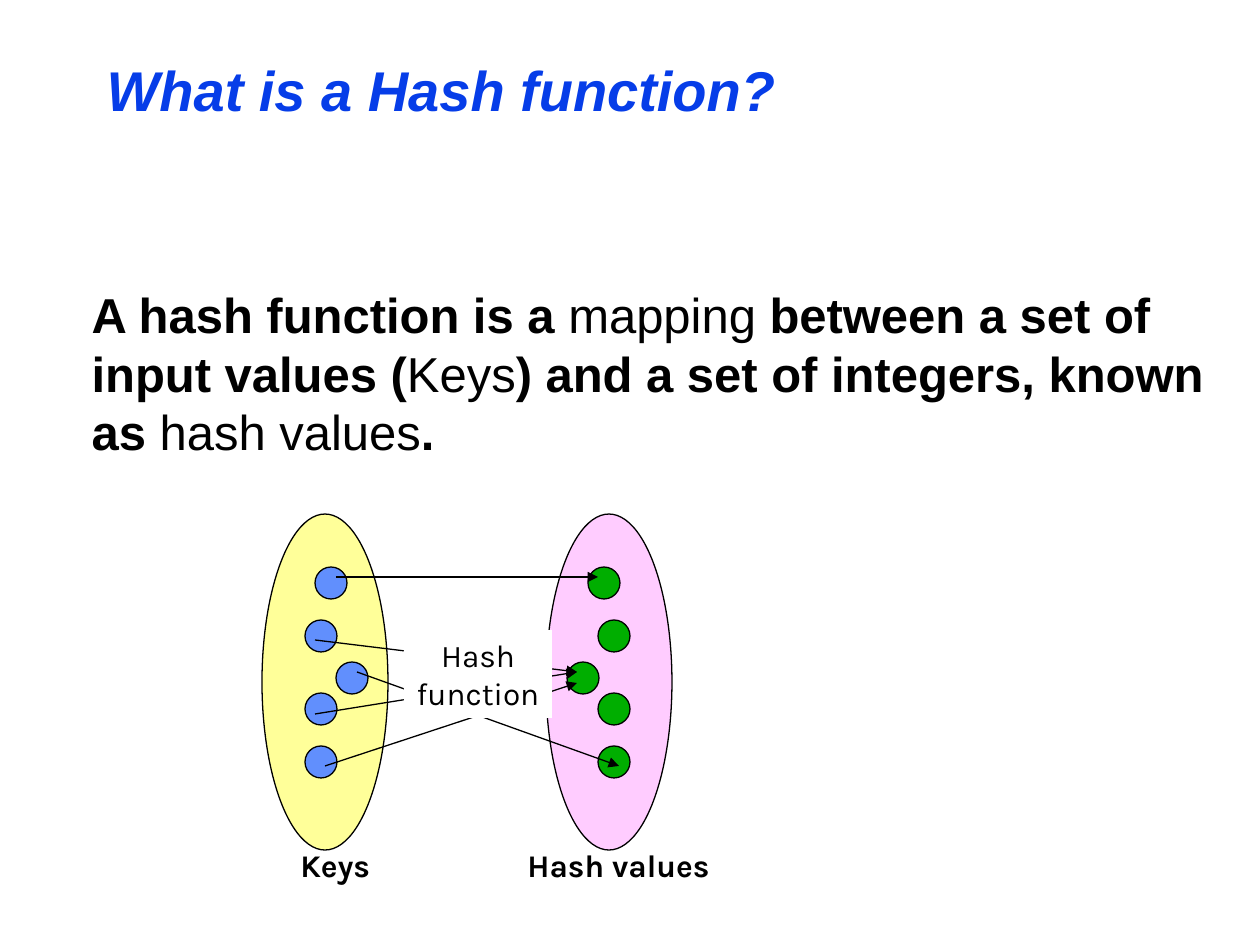
from lxml.etree import SubElement
from pptx import Presentation
from pptx.dml.color import RGBColor
from pptx.enum.shapes import MSO_CONNECTOR, MSO_SHAPE
from pptx.enum.text import MSO_ANCHOR, MSO_AUTO_SIZE, PP_ALIGN
from pptx.oxml.ns import qn
from pptx.util import Pt

EMU_PER_PX = 914400 / 126
BLACK, WHITE = "000000", "FFFFFF"


def px(length):
    return round(length * EMU_PER_PX)


def color(hex_value):
    return RGBColor.from_string(hex_value)


class HashSlide:
    heading_font = "Arial"
    diagram_font = "Karla"
    line_width = Pt(0.75)

    def __init__(self, slide):
        self.slide = slide

    def format_run(self, run, hex_color=BLACK, **formats):
        for name, value in formats.items():
            setattr(run.font, name, value)
        run.font.color.rgb = color(hex_color)

    def place(self, shape, box):
        for name, length in zip(("left", "top", "width", "height"), box):
            setattr(shape, name, px(length))

    def title(self, text, box):
        title = self.slide.shapes.title
        self.place(title, box)
        frame = title.text_frame
        frame.auto_size = MSO_AUTO_SIZE.NONE
        frame.vertical_anchor = MSO_ANCHOR.MIDDLE
        paragraph = frame.paragraphs[0]
        paragraph.alignment = PP_ALIGN.LEFT
        run = paragraph.add_run()
        run.text = text
        self.format_run(run, "063DE8", name=self.heading_font, size=Pt(32),
                        bold=True, italic=True)

    def body(self, pieces, box, indent):
        """Write one unbulleted paragraph from (text, bold) pieces."""
        body = self.slide.placeholders[1]
        self.place(body, box)
        frame = body.text_frame
        frame.auto_size = MSO_AUTO_SIZE.NONE
        paragraph = frame.paragraphs[0]
        properties = paragraph._p.get_or_add_pPr()
        properties.set("marL", str(px(indent)))
        properties.set("indent", "0")
        SubElement(properties, qn("a:buNone"))
        paragraph.space_before = Pt(0)
        for text, bold in pieces:
            run = paragraph.add_run()
            run.text = text
            self.format_run(run, name=self.heading_font, size=Pt(28), bold=bold)

    def ellipse(self, box, fill):
        ellipse = self.slide.shapes.add_shape(MSO_SHAPE.OVAL, *map(px, box))
        ellipse.shadow.inherit = False
        ellipse.fill.solid()
        ellipse.fill.fore_color.rgb = color(fill)
        ellipse.line.color.rgb = color(BLACK)
        ellipse.line.width = self.line_width

    def label(self, lines, box, bold=False, fill=None, align=PP_ALIGN.LEFT):
        label = self.slide.shapes.add_textbox(*map(px, box))
        if fill:
            label.fill.solid()
            label.fill.fore_color.rgb = color(fill)
        frame = label.text_frame
        frame.word_wrap = False
        frame.auto_size = MSO_AUTO_SIZE.SHAPE_TO_FIT_TEXT
        frame.text = "\n".join(lines)
        for paragraph in frame.paragraphs:
            paragraph.alignment = align
            self.format_run(paragraph.runs[0], name=self.diagram_font,
                            size=Pt(18), bold=bold)

    def arrow(self, start, end):
        arrow = self.slide.shapes.add_connector(
            MSO_CONNECTOR.STRAIGHT, *map(px, start + end))
        arrow.line.color.rgb = color(BLACK)
        arrow.line.width = self.line_width
        SubElement(arrow.line._get_or_add_ln(), qn("a:tailEnd"), type="triangle")
        SubElement(arrow._element.spPr, qn("a:effectLst"))


def main():
    presentation = Presentation()
    presentation.slide_width, presentation.slide_height = px(1260), px(945)
    page = HashSlide(presentation.slides.add_slide(presentation.slide_layouts[1]))

    page.title("What is a Hash function?", (94, 42, 1071, 94))
    page.body([("A hash function is a ", True), ("mapping", False),
               (" between a set of input values (", True), ("Keys", False),
               (") and a set of integers, known as ", True),
               ("hash values", False), (".", True)],
              (31, 278, 1202, 567), indent=48)

    key_dots = [(336, 662), (305, 746), (305, 693), (305, 620), (315, 567)]
    mirror_sum = 903  # left of a key dot plus left of its hash value dot
    value_dots = [(mirror_sum - left, top) for left, top in key_dots]
    sets = [
        ("Keys", 262, "FFFF99", key_dots, "618FFD", (288, 840, 98, 50)),
        ("Hash values", 546, "FFCCFF", value_dots, "00AE00", (515, 840, 214, 50)),
    ]
    for name, left, set_fill, dots, dot_fill, label_box in sets:
        page.ellipse((left, 514, 126, 336), set_fill)
        page.label([name], label_box, bold=True)
        for dot in dots:
            page.ellipse((*dot, 32, 32), dot_fill)

    mappings = [((336, 577), (598, 577)), ((315, 714), (577, 672)),
                ((325, 766), (577, 683)), ((357, 672), (619, 766)),
                ((315, 640), (577, 672))]
    for key, value in mappings:
        page.arrow(key, value)
    page.label(["Hash", "function"], (404, 630, 148, 88), fill=WHITE,
               align=PP_ALIGN.CENTER)

    presentation.save("out.pptx")


if __name__ == "__main__":
    main()
